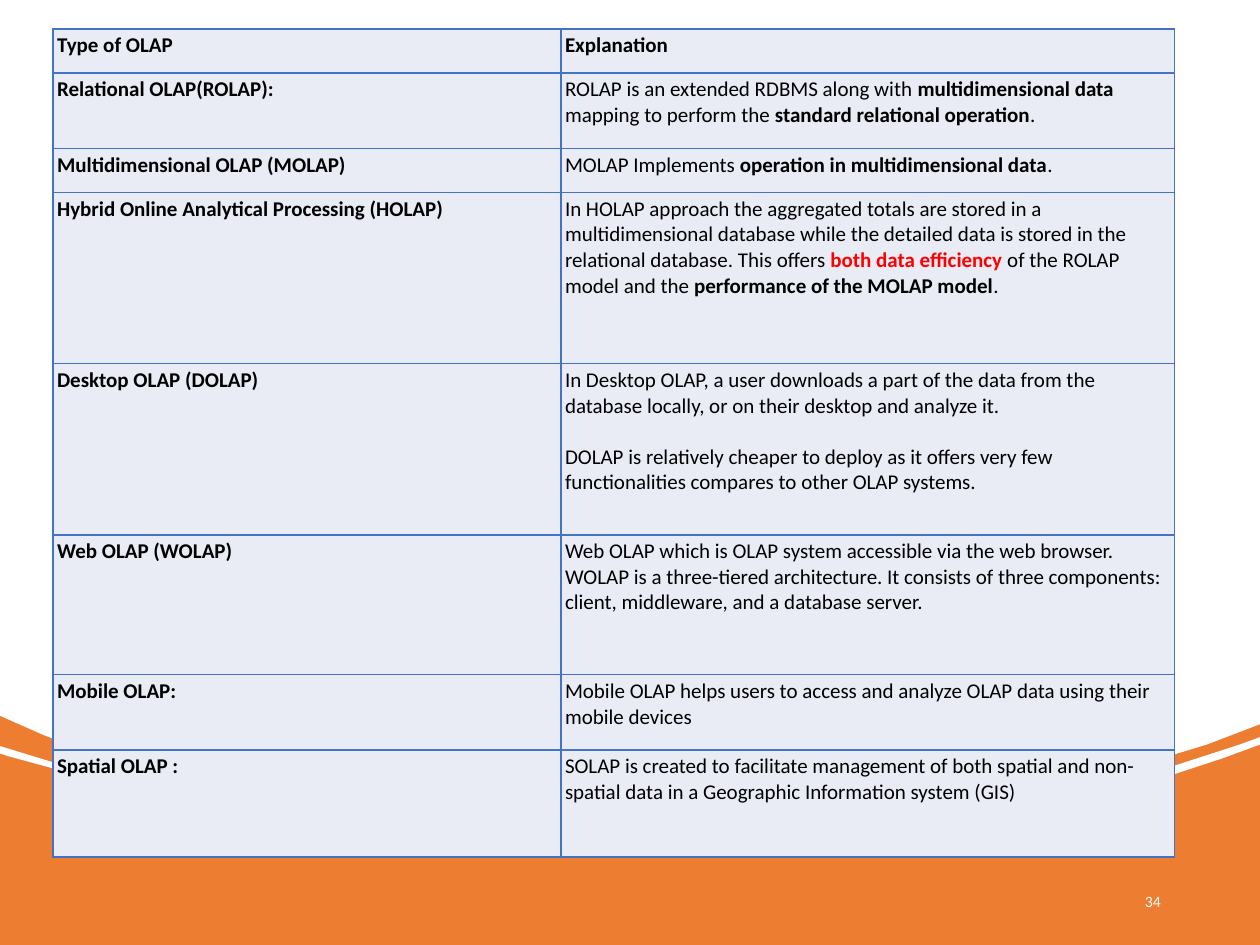
from lxml.etree import SubElement
from pptx import Presentation
from pptx.dml.color import RGBColor
from pptx.enum.shapes import MSO_SHAPE
from pptx.enum.text import MSO_ANCHOR, PP_ALIGN
from pptx.oxml.ns import qn
from pptx.util import Cm, Pt

COLORS = {"orange": "ED7D31", "white": "FFFFFF", "cell": "E9EBF5",
          "border": "4472C4", "text": "000000", "accent": "FF0000"}
FONT = "Calibri"

# Each row: height in cm, label, paragraphs; a paragraph lists (text, style) spans
ROWS = [
    (0.89, "Type of OLAP", [[("Explanation", "bold")]]),
    (1.52, "Relational OLAP(ROLAP):", [[
        ("ROLAP is an extended RDBMS along with ", "plain"),
        ("multidimensional data ", "bold"),
        ("mapping to perform the ", "plain"),
        ("standard relational operation", "bold"), (".", "plain")]]),
    (0.89, "Multidimensional OLAP (MOLAP)", [[
        ("MOLAP Implements ", "plain"),
        ("operation in multidimensional data", "bold"), (".", "plain")]]),
    (3.45, "Hybrid Online Analytical Processing (HOLAP)", [[
        ("In HOLAP approach the aggregated totals are stored in a "
         "multidimensional database while the detailed data is stored in the "
         "relational database. This offers ", "plain"),
        ("both data efficiency ", "accent"),
        ("of the ROLAP model and the ", "plain"),
        ("performance of the MOLAP model", "bold"), (".", "plain")]]),
    (3.45, "Desktop OLAP (DOLAP)", [
        [("In Desktop OLAP, a user downloads a part of the data from the "
          "database locally, or on their desktop and analyze it.", "plain")],
        [("DOLAP is relatively cheaper to deploy as it offers very few "
          "functionalities compares to other OLAP systems.", "plain")]]),
    (2.82, "Web OLAP (WOLAP)", [[
        ("Web OLAP which is OLAP system accessible via the web browser. "
         "WOLAP is a three-tiered architecture. It consists of three "
         "components: client, middleware, and a database server.", "plain")]]),
    (1.52, "Mobile OLAP:", [[
        ("Mobile OLAP helps users to access and analyze OLAP data using "
         "their mobile devices", "plain")]]),
    (2.16, "Spatial OLAP :", [[
        ("SOLAP is created to facilitate management of both spatial and "
         "non-spatial data in a Geographic Information system (GIS)", "plain")]]),
]
COLUMN_WIDTHS = [10.24, 12.37]

# White area and its swoosh stripe, in hundredths of a centimetre
SWOOSH = [
    (0, 0), (2540, 0), (2540, 1460), (2433, 1501), (2172, 1580), (1963, 1628),
    (1763, 1664), (1608, 1687), (1415, 1709), (1580, 1699), (1796, 1674),
    (1976, 1646), (2215, 1593), (2499, 1501), (2540, 1486), (2540, 1501),
    (2464, 1529), (2278, 1590), (2080, 1641), (1915, 1671), (1638, 1709),
    (1445, 1722), (1262, 1727), (1097, 1717), (904, 1699), (704, 1671),
    (493, 1638), (257, 1590), (15, 1524), (0, 1519), (0, 1504), (124, 1542),
    (368, 1600), (544, 1633), (231, 1537), (86, 1481), (0, 1443),
]


def color(name):
    return RGBColor.from_string(COLORS[name])


def paint(shape, name):
    shape.shadow.inherit = False
    shape.fill.solid()
    shape.fill.fore_color.rgb = color(name)
    shape.line.fill.background()


def style_cell(cell):
    cell.margin_left = cell.margin_right = Cm(0.08)
    cell.margin_top = cell.margin_bottom = Cm(0.08)
    properties = cell._tc.get_or_add_tcPr()
    for side in ("a:lnL", "a:lnR", "a:lnT", "a:lnB"):
        line = SubElement(properties, qn(side), w=str(Pt(1)))
        fill = SubElement(line, qn("a:solidFill"))
        SubElement(fill, qn("a:srgbClr"), val=COLORS["border"])
    cell.fill.solid()
    cell.fill.fore_color.rgb = color("cell")


def write_cell(cell, paragraphs):
    frame = cell.text_frame
    for index, spans in enumerate(paragraphs):
        para = frame.add_paragraph() if index else frame.paragraphs[0]
        para.font.name, para.font.size = FONT, Pt(12)
        if index:
            para.space_before = Pt(14.65)
        for text, style in spans:
            span = para.add_run()
            span.text = text
            span.font.name, span.font.size = FONT, Pt(12)
            span.font.bold = style != "plain"
            span.font.color.rgb = color("accent" if style == "accent" else "text")


deck = Presentation()
deck.slide_width, deck.slide_height = Cm(25.4), Cm(19.05)
page = deck.slides.add_slide(deck.slide_layouts[6])

# Background
backdrop = page.shapes.add_shape(
    MSO_SHAPE.RECTANGLE, 0, 0, deck.slide_width, deck.slide_height)
paint(backdrop, "orange")
builder = page.shapes.build_freeform(*SWOOSH[0], scale=Cm(0.01))
builder.add_line_segments(SWOOSH[1:], close=True)
paint(builder.convert_to_shape(), "white")

# Page number
box = page.shapes.add_textbox(Cm(17.93), Cm(17.65), Cm(5.72), Cm(1.02))
box.text_frame.word_wrap = True
box.text_frame.vertical_anchor = MSO_ANCHOR.MIDDLE
para = box.text_frame.paragraphs[0]
para.text = "34"
para.alignment = PP_ALIGN.RIGHT
para.space_after = Pt(6)
para.font.name, para.font.size = FONT, Pt(9)
para.font.color.rgb = color("white")

# Table of OLAP types
table = page.shapes.add_table(
    len(ROWS), len(COLUMN_WIDTHS), Cm(1.07), Cm(0.58),
    Cm(sum(COLUMN_WIDTHS)), Cm(sum(row[0] for row in ROWS))).table
table.first_row = table.horz_banding = False
for column, width in zip(table.columns, COLUMN_WIDTHS):
    column.width = Cm(width)
for row, (height, label, explanation) in zip(table.rows, ROWS):
    row.height = Cm(height)
    for cell, paragraphs in zip(row.cells, ([[(label, "bold")]], explanation)):
        style_cell(cell)
        write_cell(cell, paragraphs)

deck.save("out.pptx")
